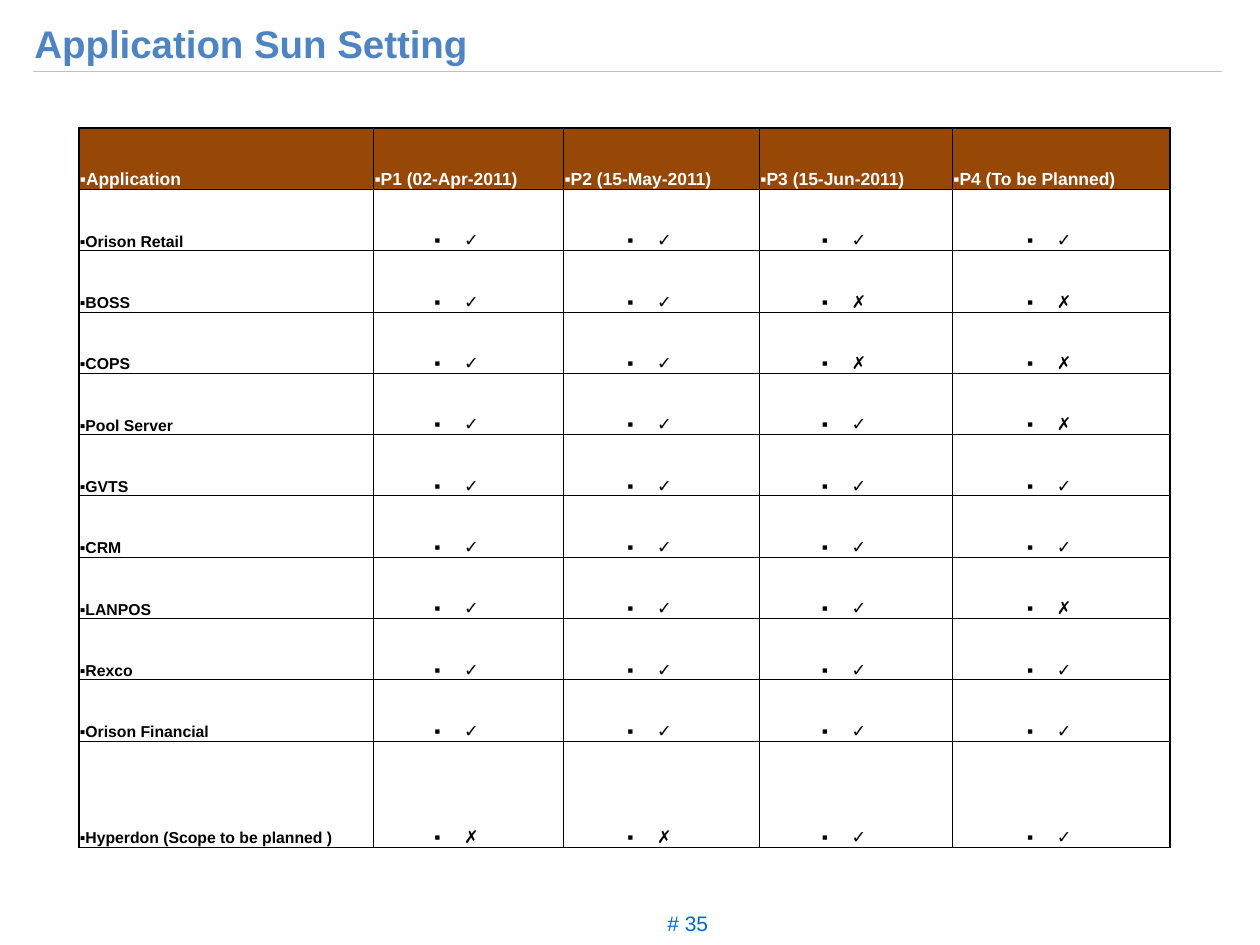
from dataclasses import dataclass

from lxml.etree import SubElement
from pptx import Presentation
from pptx.dml.color import RGBColor
from pptx.enum.text import MSO_ANCHOR, PP_ALIGN
from pptx.oxml.ns import qn
from pptx.util import Cm, Pt


@dataclass(frozen=True)
class Theme:
    """Colours, font and type sizes of the deck."""
    font: str = "Arial"
    title: str = "4E84C4"
    rule: str = "C0C0C0"
    header: str = "974807"
    light: str = "FFFFFF"
    dark: str = "000000"
    page_number: str = "0066CC"
    title_size: float = 22
    number_size: float = 12
    table_size: float = 10
    name_size: float = 9
    thin: float = 0.5
    thick: float = 1


THEME = Theme()
HEADINGS = ["Application", "P1 (02-Apr-2011)", "P2 (15-May-2011)",
            "P3 (15-Jun-2011)", "P4 (To be Planned)"]
STATUS = {
    "Orison Retail": "✓✓✓✓",
    "BOSS": "✓✓✗✗",
    "COPS": "✓✓✗✗",
    "Pool Server": "✓✓✓✗",
    "GVTS": "✓✓✓✓",
    "CRM": "✓✓✓✓",
    "LANPOS": "✓✓✓✗",
    "Rexco": "✓✓✓✓",
    "Orison Financial": "✓✓✓✓",
    "Hyperdon (Scope to be planned )": "✗✗✓✓",
}
COLUMN_WIDTHS = [5.94, 3.83, 3.95, 3.89, 4.39]
TABLE_HEIGHT, LAST_ROW_HEIGHT = 14.5, 2.14
MARK_INDENT = Cm(0.6)


def apply(target, values):
    """Set every attribute named in a dict of format values."""
    for name, value in values.items():
        setattr(target, name, value)


def write(frame, text, size, colour, bold=False, **layout):
    """Put one formatted paragraph into a text frame and return it."""
    para = frame.paragraphs[0]
    apply(para, layout)
    span = para.add_run()
    span.text = text
    apply(span.font, {"name": THEME.font, "size": Pt(size), "bold": bold})
    span.font.color.rgb = RGBColor.from_string(colour)
    return para


def add_bullet(para, indent):
    """Give a paragraph a square bullet with a hanging indent."""
    properties = para._p.get_or_add_pPr()
    properties.set("marL", str(indent))
    properties.set("indent", str(-indent))
    SubElement(properties, qn("a:buFont"), typeface=THEME.font)
    SubElement(properties, qn("a:buChar"), char="▪")


def add_borders(cell, widths):
    """Draw the four borders of a cell from a dict of side to width."""
    properties = cell._tc.get_or_add_tcPr()
    for side, width in widths.items():
        line = SubElement(properties, qn(f"a:ln{side}"), w=str(Pt(width)))
        fill = SubElement(line, qn("a:solidFill"))
        SubElement(fill, qn("a:srgbClr"), val=THEME.dark)


def add_title(page, left, top, width, height):
    """Place the title and the rule below it."""
    title = page.shapes.title
    apply(title, {"left": left, "top": top, "width": width, "height": height})
    apply(title.text_frame, {"word_wrap": True, "vertical_anchor": MSO_ANCHOR.MIDDLE})
    write(title.text_frame, "Application Sun Setting", THEME.title_size, THEME.title,
          bold=True, alignment=PP_ALIGN.LEFT, line_spacing=1.15)
    rule_top = top + height + Cm(0.03)
    rule = page.shapes.add_connector(1, left + Cm(0.22), rule_top,
                                     left + width - Cm(0.11), rule_top)
    rule.line.color.rgb = RGBColor.from_string(THEME.rule)
    rule.line.width = Pt(0.75)
    SubElement(rule._element.spPr, qn("a:effectLst"))


def format_cell(cell, text, is_header, is_name, widths):
    """Fill one table cell with its text, borders and colour."""
    is_mark = not (is_header or is_name)
    apply(cell, {"margin_left": Cm(0.02), "margin_right": Cm(0.5 if is_mark else 0.02),
                 "margin_top": Cm(0.02), "margin_bottom": 0,
                 "vertical_anchor": MSO_ANCHOR.BOTTOM})
    add_borders(cell, widths)
    if is_header:
        cell.fill.solid()
        cell.fill.fore_color.rgb = RGBColor.from_string(THEME.header)
    else:
        cell.fill.background()
    size = THEME.name_size if is_name and not is_header else THEME.table_size
    para = write(cell.text_frame, text, size, THEME.light if is_header else THEME.dark,
                 bold=True, line_spacing=1.04, space_before=Pt(2),
                 alignment=PP_ALIGN.CENTER if is_mark else PP_ALIGN.LEFT)
    add_bullet(para, MARK_INDENT if is_mark else 0)


def add_status_table(page, left, top):
    """Place the table of applications against phases."""
    rows = [HEADINGS] + [[name, *marks] for name, marks in STATUS.items()]
    last_row, last_column = len(rows) - 1, len(HEADINGS) - 1
    row_height = (TABLE_HEIGHT - LAST_ROW_HEIGHT) / last_row
    heights = [row_height] * last_row + [LAST_ROW_HEIGHT]
    table = page.shapes.add_table(len(rows), len(HEADINGS), left, top,
                                  Cm(sum(COLUMN_WIDTHS)), Cm(TABLE_HEIGHT)).table
    apply(table, {"first_row": False, "horz_banding": False})
    for column, width in zip(table.columns, COLUMN_WIDTHS):
        column.width = Cm(width)
    for r, values in enumerate(rows):
        table.rows[r].height = Cm(heights[r])
        for c, text in enumerate(values):
            outer = {"L": c == 0, "R": c == last_column, "T": r == 0, "B": r == last_row}
            widths = {side: THEME.thick if edge else THEME.thin
                      for side, edge in outer.items()}
            format_cell(table.cell(r, c), text, r == 0, c == 0, widths)


def add_page_number(page, left, top, width, height):
    """Place the page number at the foot of the page."""
    box = page.shapes.add_textbox(left, top, width, height)
    box.text_frame.word_wrap = True
    write(box.text_frame, "# 35", THEME.number_size, THEME.page_number,
          alignment=PP_ALIGN.CENTER, line_spacing=1.04)


def build_deck():
    """Build the one-page deck and save it."""
    deck = Presentation()
    apply(deck, {"slide_width": Cm(25.4), "slide_height": Cm(19.05)})
    page = deck.slides.add_slide(deck.slide_layouts[5])
    add_title(page, Cm(0.44), Cm(0.17), Cm(24.31), Cm(1.24))
    add_status_table(page, Cm(1.59), Cm(2.58))
    add_page_number(page, Cm(12.91), Cm(18.21), Cm(1.91), Cm(0.76))
    deck.save("out.pptx")


build_deck()
